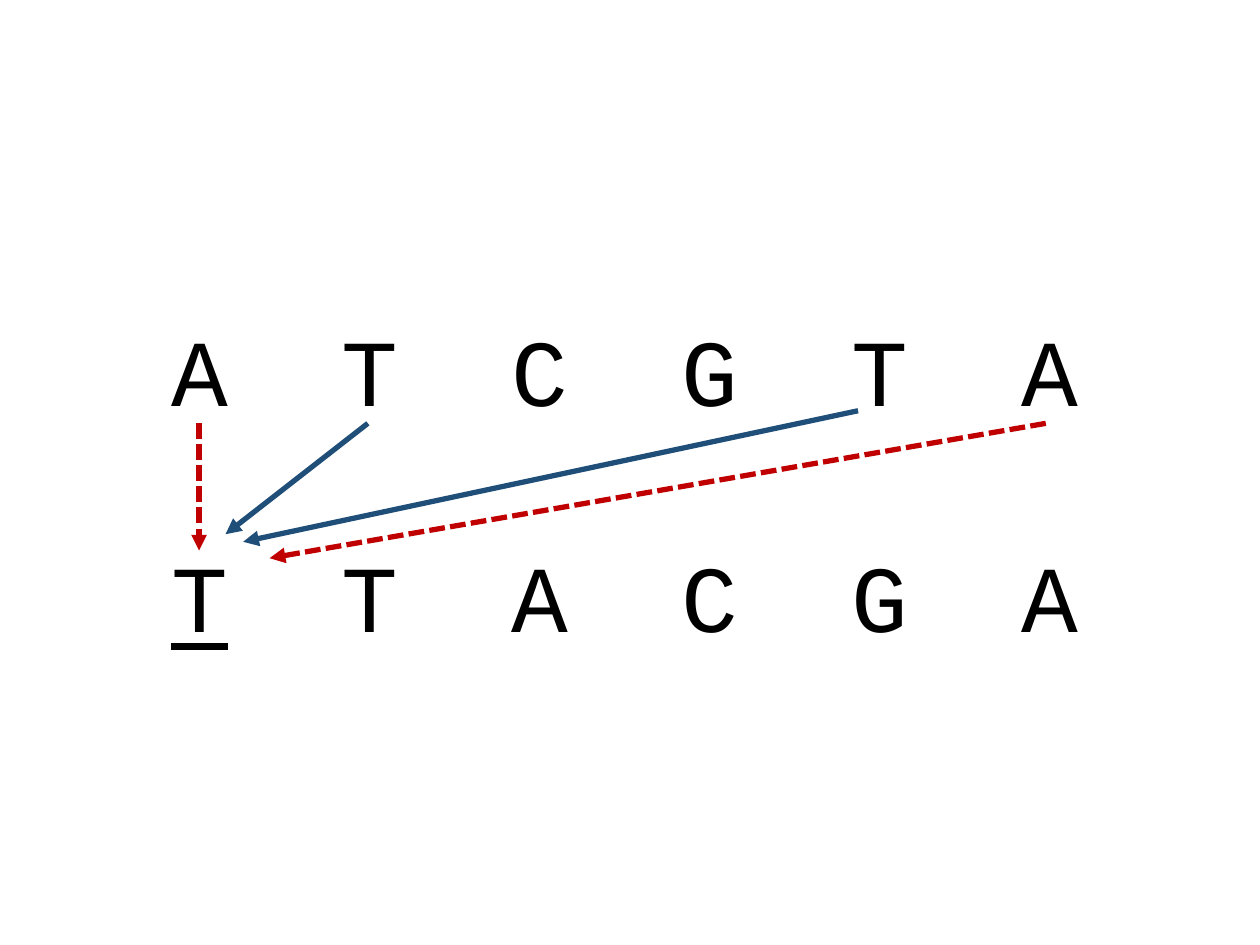
from lxml.etree import SubElement
from pptx import Presentation
from pptx.dml.color import RGBColor
from pptx.enum.dml import MSO_LINE
from pptx.enum.shapes import MSO_CONNECTOR
from pptx.enum.text import PP_ALIGN
from pptx.oxml.ns import qn
from pptx.util import Inches, Pt

COLORS = {"letter": "000000", "match": "1F4E79", "mismatch": "C00000"}
SEQUENCES = ["ATCGTA", "TTACGA"]
COMPARED_BASE = (1, 0)  # row, column of the underlined letter
# kind, start, end
ARROWS = [
    ("mismatch", (1.58, 3.36), (1.58, 4.37)),
    ("match", (2.92, 3.36), (1.79, 4.24)),
    ("match", (6.81, 3.26), (1.93, 4.3)),
    ("mismatch", (8.3, 3.36), (2.14, 4.43)),
]
COLUMN_WIDTH = 1.35
ROW_GAP = 64


def add_sequences(slide):
    box = slide.shapes.add_textbox(Inches(1.23), Inches(2.43), Inches(7.47), Inches(2.83))
    frame = box.text_frame
    frame.word_wrap = True
    frame.margin_left = Inches(0.13)
    for row, sequence in enumerate(SEQUENCES):
        paragraph = frame.paragraphs[0] if row == 0 else frame.add_paragraph()
        paragraph.alignment = PP_ALIGN.LEFT
        if row:
            paragraph.space_before = Pt(ROW_GAP)
        tabs = SubElement(paragraph._p.get_or_add_pPr(), qn("a:tabLst"))
        for column in range(1, len(sequence)):
            SubElement(tabs, qn("a:tab"), pos=str(Inches(column * COLUMN_WIDTH)), algn="l")
        paragraph.font.name = "Courier New"
        paragraph.font.size = Pt(54)
        paragraph.font.color.rgb = RGBColor.from_string(COLORS["letter"])
        for column, base in enumerate(sequence):
            if column:
                paragraph.add_run().text = "\t"
            run = paragraph.add_run()
            run.text = base
            if (row, column) == COMPARED_BASE:
                run.font.underline = True


def add_arrow(slide, kind, start, end):
    arrow = slide.shapes.add_connector(
        MSO_CONNECTOR.STRAIGHT, *(Inches(value) for value in start + end)
    )
    arrow.line.color.rgb = RGBColor.from_string(COLORS[kind])
    arrow.line.width = Pt(3)
    if kind == "mismatch":
        arrow.line.dash_style = MSO_LINE.SQUARE_DOT  # sysDash
        arrow.line._ln.find(qn("a:prstDash")).set("val", "sysDash")
    SubElement(arrow.line._ln, qn("a:tailEnd"), type="triangle")
    SubElement(arrow._element.spPr, qn("a:effectLst"))


def main():
    presentation = Presentation()
    presentation.slide_width, presentation.slide_height = Inches(10), Inches(7.5)
    slide = presentation.slides.add_slide(presentation.slide_layouts[6])
    add_sequences(slide)
    for arrow in ARROWS:
        add_arrow(slide, *arrow)
    presentation.save("out.pptx")


if __name__ == "__main__":
    main()
